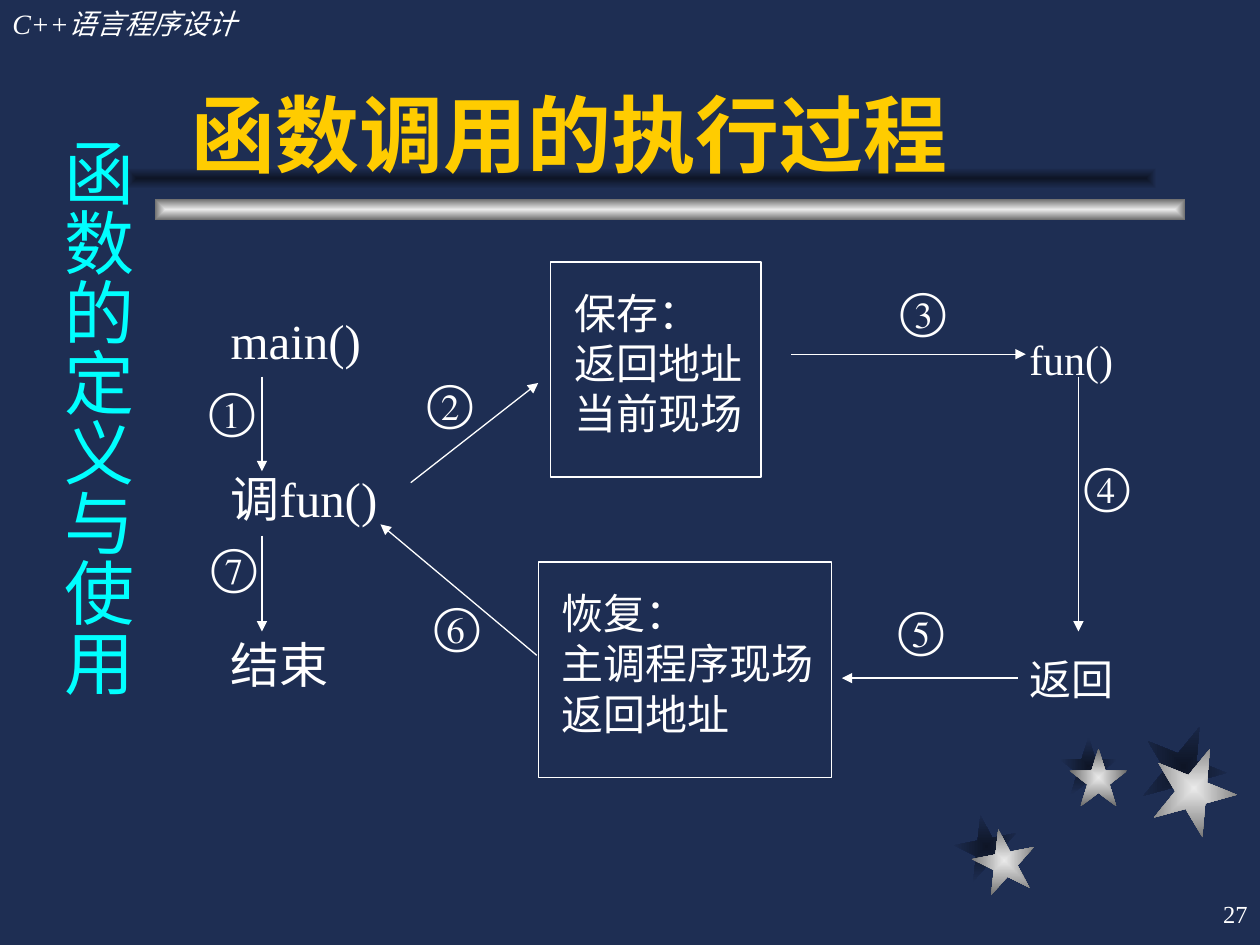
"""Build the slide that explains how a function call is carried out."""
import lxml.etree
import pptx
import pptx.dml.color
import pptx.enum.shapes
import pptx.enum.text
import pptx.oxml
import pptx.oxml.ns
import pptx.util

Cm = pptx.util.Cm
Shape = pptx.enum.shapes.MSO_SHAPE
Align = pptx.enum.text.PP_ALIGN
Anchor = pptx.enum.text.MSO_ANCHOR
qn = pptx.oxml.ns.qn

NAVY, WHITE, GOLD, CYAN = "1E2E53", "FFFFFF", "FFCC00", "00FFFF"
SILVER, SHADE = ("EAEAEA", "6C6C6C"), ("0E1526", NAVY)
SERIF, SANS = "Times New Roman", "Arial"
USUAL, UPRIGHT, NONE = (0.25, 0.13), (0.13, 0.25), (0, 0)

STARS = [
    ((19.61, 16.71), (19.25, 16.43), 1.27, 349),
    ((21.56, 15.09), (21.36, 14.86), 1.17, 0),
    ((23.22, 15.04), (23.01, 14.6), 1.7, 22),
]
BARS = [((3.12, 4.01), SILVER), ((2.54, 3.38), SHADE)]
BAR_SIZE = (20.78, 0.43)

HEADINGS = [
    ("C++语言程序设计", (0, 0, 7.82, 0.94), USUAL, {"size": 16, "italic": True}, WHITE, {}, Align.LEFT),
    ("27", (20.12, 17.78, 5.28, 1.27), USUAL, {"size": 14}, WHITE,
     {"vertical_anchor": Anchor.MIDDLE}, Align.RIGHT),
    ("函数调用的执行过程", (3.61, 0.64, 19.89, 3.18), USUAL,
     {"size": 48, "name": SANS, "bold": True}, GOLD, {"vertical_anchor": Anchor.BOTTOM}, Align.LEFT),
]
CHAPTER = ("函数的定义与使用", (0.76, 2.54, 2.18, 13.77))

STEPS = [
    ("main()", 4.4, 6.86, 28),
    ("调fun()", 4.4, 10.03, 28),
    ("结束", 4.4, 13.39, 28),
    ("fun()", 20.5, 7.24, 24),
    ("返回", 20.5, 13.69, 24),
]
STEP_SIZE = (4.5, 1.4)
STACKS = [
    (["保存：", "返回地址", "当前现场"], (11.1, 5.28, 4.24, 4.34)),
    (["恢复：", "主调程序现场", "返回地址"], (10.85, 11.33, 5.92, 4.34)),
]
ARROWS = [
    ((5.28, 7.59), (5.28, 9.5)),
    ((8.28, 9.73), (10.85, 7.72)),
    ((15.95, 7.14), (20.68, 7.14)),
    ((21.74, 7.59), (21.74, 12.73)),
    ((20.52, 13.67), (16.97, 13.67)),
    ((10.82, 13.21), (7.67, 10.57)),
    ((5.28, 10.8), (5.28, 12.73)),
]
NUMBERS = [
    ("①", 4.22, 7.65),
    ("②", 8.61, 7.49),
    ("③", 18.16, 5.64),
    ("④", 21.87, 9.17),
    ("⑤", 18.11, 12.07),
    ("⑥", 8.76, 11.99),
    ("⑦", 4.27, 10.8),
]
NUMBER_SIZE = (1.02, 1.3)


def colour(code):
    return pptx.dml.color.RGBColor.from_string(code)


def lengths(values):
    return [Cm(value) for value in values]


def apply(target, values):
    for name, value in values.items():
        setattr(target, name, value)


def write(box, lines, font, tint=WHITE, insets=USUAL, frame=None, align=Align.LEFT):
    across, down = lengths(insets)
    apply(box.text_frame, {
        "word_wrap": True, "margin_left": across, "margin_right": across,
        "margin_top": down, "margin_bottom": down, "vertical_anchor": Anchor.TOP, **(frame or {}),
    })
    for index, line in enumerate(lines):
        para = box.text_frame.add_paragraph() if index else box.text_frame.paragraphs[0]
        para.alignment = align
        span = para.add_run()
        span.text = line
        apply(span.font, {"name": SERIF, **font, "size": pptx.util.Pt(font["size"])})
        span.font.color.rgb = colour(tint)


def add_text(page, place, lines, *style):
    box = page.shapes.add_textbox(*lengths(place))
    write(box, lines, *style)
    return box


def add_glow(page, kind, place, tints, rotation=0):
    shape = page.shapes.add_shape(kind, *lengths(place))
    shape.shadow.inherit = False
    shape.rotation = rotation
    shape.line.fill.background()
    shape.fill.gradient()
    for stop, tint, position in zip(shape.fill.gradient_stops, tints, (0, 1)):
        stop.color.rgb = colour(tint)
        stop.position = position
    gradient = shape.element.spPr.find(qn("a:gradFill"))
    gradient.remove(gradient.find(qn("a:lin")))
    centre = lxml.etree.SubElement(gradient, qn("a:path"), path="rect")
    lxml.etree.SubElement(centre, qn("a:fillToRect"), l="50000", t="50000", r="50000", b="50000")


def add_arrow(page, start, end):
    arrow = page.shapes.add_connector(
        pptx.enum.shapes.MSO_CONNECTOR.STRAIGHT, *lengths(start + end))
    arrow.line.color.rgb = colour(WHITE)
    arrow.line.width = pptx.util.Pt(0.75)
    lxml.etree.SubElement(arrow.line._get_or_add_ln(), qn("a:tailEnd"), type="triangle")
    lxml.etree.SubElement(arrow.element.spPr, qn("a:effectLst"))


def add_stack(page, lines, place):
    box = page.shapes.add_shape(Shape.RECTANGLE, *lengths(place))
    box.shadow.inherit = False
    box.fill.background()
    box.line.color.rgb = colour(WHITE)
    box.line.width = pptx.util.Pt(0.75)
    write(box, lines, {"size": 24}, WHITE, NONE, {"margin_left": Cm(0.48), "margin_top": Cm(0.51)})


def main():
    deck = pptx.Presentation()
    deck.slide_width, deck.slide_height = Cm(25.4), Cm(19.05)
    page = deck.slides.add_slide(deck.slide_layouts[6])
    page.background.fill.solid()
    page.background.fill.fore_color.rgb = colour(NAVY)

    for layer, tints in ((1, SHADE), (0, SILVER)):
        for star in STARS:
            size, rotation = star[2:]
            add_glow(page, Shape.STAR_5_POINT, star[layer] + (size, size), tints, rotation)
    for corner, tints in BARS:
        add_glow(page, Shape.RECTANGLE, corner + BAR_SIZE, tints)

    for text, place, insets, font, tint, frame, align in HEADINGS:
        add_text(page, place, [text], font, tint, insets, frame, align)
    text, place = CHAPTER
    chapter = add_text(page, place, [text], {"size": 40}, CYAN, UPRIGHT, None, Align.CENTER)
    chapter.text_frame._txBody.bodyPr.set("vert", "eaVert")

    width, height = STEP_SIZE
    for text, left, middle, size in STEPS:
        add_text(page, (left, middle - height / 2, width, height), [text], {"size": size},
                 WHITE, USUAL, {"vertical_anchor": Anchor.MIDDLE})
    for lines, place in STACKS:
        add_stack(page, lines, place)
    for start, end in ARROWS:
        add_arrow(page, start, end)
    for text, left, top in NUMBERS:
        add_text(page, (left, top) + NUMBER_SIZE, [text], {"size": 28}, WHITE, NONE)
    deck.save("out.pptx")


if __name__ == "__main__":
    main()
